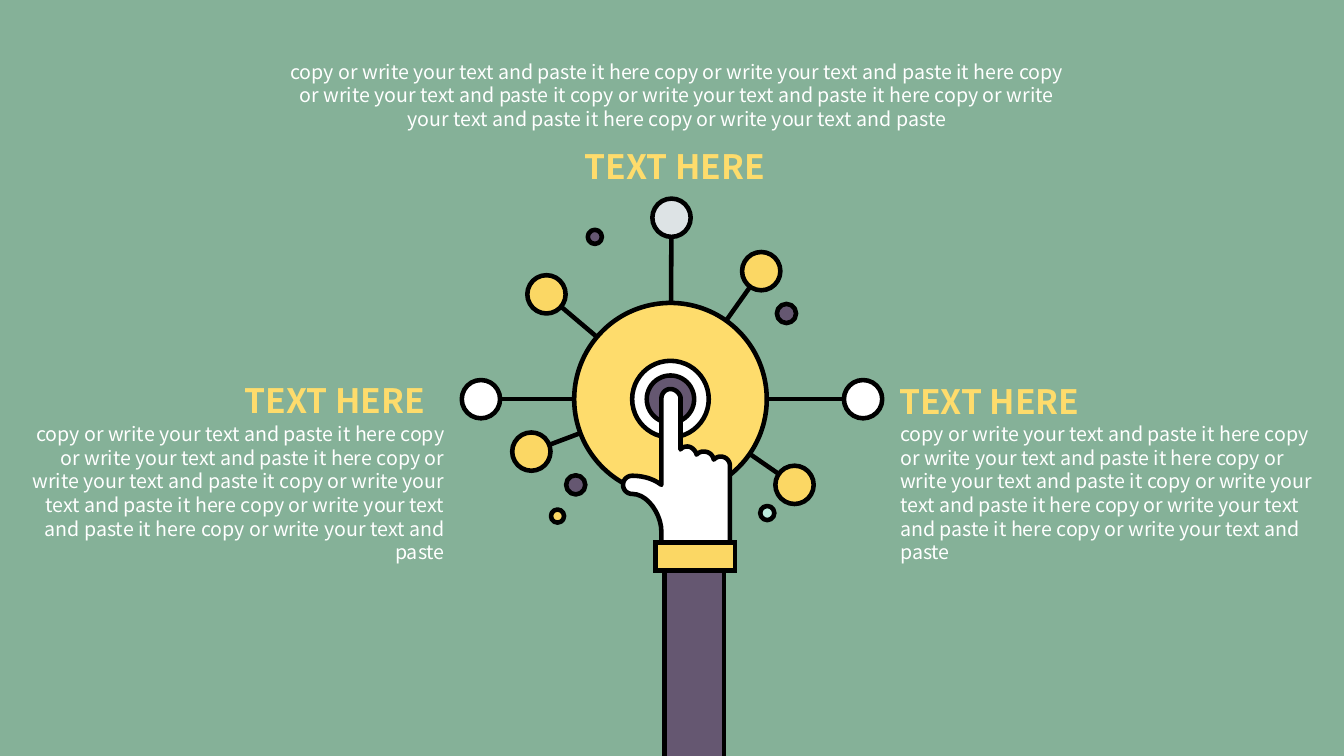
import dataclasses

import pptx
import pptx.dml.color
import pptx.enum.shapes
import pptx.enum.text
import pptx.oxml
import pptx.oxml.ns
import pptx.util

Inches = pptx.util.Inches
Pt = pptx.util.Pt
Align = pptx.enum.text.PP_ALIGN
Preset = pptx.enum.shapes.MSO_SHAPE


@dataclasses.dataclass(frozen=True)
class Theme:
    """Colours, font, type sizes and line widths of the slide."""
    sage: str = "85B198"
    plum: str = "655771"
    lemon: str = "FEDC6C"
    amber: str = "FBD764"
    mint: str = "BCEBDD"
    silver: str = "DDE3E5"
    white: str = "FFFFFF"
    black: str = "000000"
    font: str = "Noto Sans CJK SC"
    heading: float = 24
    body: float = 14
    outline: float = 3.25
    sleeve_outline: float = 3


THEME = Theme()
HUB = (6.65, 3.96)
NODE_SIZE = 0.38
NODES = [
    (4.77, 3.96, THEME.white), (5.42, 2.92, THEME.amber),
    (7.55, 2.69, THEME.amber), (6.66, 2.16, THEME.silver),
    (8.56, 3.96, THEME.white), (7.88, 4.81, THEME.amber),
    (5.27, 4.48, THEME.amber),
]
RINGS = [(1.91, THEME.lemon), (0.76, THEME.white), (0.47, THEME.plum)]
DOTS = [
    (7.8, 3.11, 0.19, THEME.plum), (5.71, 4.81, 0.19, THEME.plum),
    (5.9, 2.35, 0.14, THEME.plum), (7.61, 5.09, 0.14, THEME.mint),
    (5.53, 5.12, 0.13, THEME.amber),
]
HAND_START = (7.15, 4.53)
HAND = [
    (7.12, 4.53, 7.1, 4.54, 7.08, 4.56), (7.07, 4.51, 7.03, 4.48, 6.98, 4.48),
    (6.95, 4.48, 6.93, 4.49, 6.91, 4.51), (6.9, 4.47, 6.86, 4.43, 6.82, 4.43),
    (6.79, 4.43, 6.76, 4.44, 6.75, 4.46), (6.75, 3.94),
    (6.74, 3.9, 6.7, 3.86, 6.65, 3.86), (6.6, 3.86, 6.56, 3.9, 6.56, 3.96),
    (6.56, 4.81), (6.48, 4.75, 6.38, 4.72, 6.27, 4.72),
    (6.22, 4.72, 6.18, 4.76, 6.18, 4.81), (6.18, 4.86, 6.22, 4.9, 6.27, 4.9),
    (6.43, 4.9, 6.56, 5.11, 6.56, 5.27), (6.56, 5.38), (7.24, 5.38),
    (7.24, 4.62), (7.24, 4.57, 7.2, 4.53, 7.15, 4.53),
]
PHRASE = "copy or write your text and paste it"
HALF = f"{PHRASE} here {PHRASE} here "
BODY = f"{HALF}{PHRASE} {HALF}copy or write your text and paste"
CAPTIONS = [
    ((8.82, 3.73), (8.83, 4.14, 4.41, 1.28), Align.LEFT),
    ((5.7, 1.4), (2.73, 0.54, 7.97, 0.81), Align.CENTER),
    ((2.33, 3.72), (0.1, 4.14, 4.41, 1.28), Align.RIGHT),
]


def rgb(colour):
    """Turn a hex string into a colour."""
    return pptx.dml.color.RGBColor.from_string(colour)


def paint(shape, fill, width=THEME.outline):
    """Give a shape a flat fill and a black outline."""
    shape.shadow.inherit = False
    shape.fill.solid()
    shape.fill.fore_color.rgb = rgb(fill)
    shape.line.color.rgb = rgb(THEME.black)
    shape.line.width = Pt(width)


def add_circle(slide, x, y, size, fill):
    """Draw a circle around a centre."""
    box = (x - size / 2, y - size / 2, size, size)
    paint(slide.shapes.add_shape(Preset.OVAL, *map(Inches, box)), fill)


def add_block(slide, box, fill, width=THEME.outline):
    """Draw a sharp-cornered rectangle."""
    block = slide.shapes.add_shape(Preset.RECTANGLE, *map(Inches, box))
    paint(block, fill, width)
    miter = pptx.oxml.parse_xml(f'<a:miter {pptx.oxml.ns.nsdecls("a")} lim="800000"/>')
    block.line._get_or_add_ln().append(miter)


def add_spoke(slide, x, y):
    """Draw a line from the hub to a node centre."""
    spoke = slide.shapes.add_connector(
        pptx.enum.shapes.MSO_CONNECTOR.STRAIGHT, *map(Inches, (*HUB, x, y)))
    spoke.line.color.rgb = rgb(THEME.black)
    spoke.line.width = Pt(THEME.outline)
    effects = pptx.oxml.parse_xml(f'<a:effectLst {pptx.oxml.ns.nsdecls("a")}/>')
    spoke._element.spPr.append(effects)


def curve_points(start, segment, steps=10):
    """Sample a cubic curve after its start point."""
    corners = [start, segment[:2], segment[2:4], segment[4:]]
    for step in range(1, steps + 1):
        t = step / steps
        weights = ((1 - t) ** 3, 3 * t * (1 - t) ** 2, 3 * t * t * (1 - t), t ** 3)
        yield tuple(sum(w * c[axis] for w, c in zip(weights, corners))
                    for axis in (0, 1))


def add_hand(slide):
    """Draw the pointing hand."""
    points = [HAND_START]
    for segment in HAND:
        points.extend([segment] if len(segment) == 2
                      else curve_points(points[-1], segment))
    outline = [(Inches(x), Inches(y)) for x, y in points]
    builder = slide.shapes.build_freeform(*outline[0])
    builder.add_line_segments(outline[1:], close=True)
    paint(builder.convert_to_shape(), THEME.white)


def add_text(slide, box, text, colour, font_format, align=Align.LEFT, wrap=True):
    """Place a paragraph in a text box."""
    frame = slide.shapes.add_textbox(*map(Inches, box)).text_frame
    frame.word_wrap = wrap
    frame.auto_size = pptx.enum.text.MSO_AUTO_SIZE.SHAPE_TO_FIT_TEXT
    paragraph = frame.paragraphs[0]
    paragraph.alignment = align
    run = paragraph.add_run()
    run.text = text
    for attribute, value in font_format.items():
        setattr(run.font, attribute, value)
    run.font.color.rgb = rgb(colour)


def add_caption(slide, heading_at, body_box, align):
    """Place a heading and its body text."""
    add_text(slide, (*heading_at, 2.06, 0.5), "TEXT HERE", THEME.lemon,
             {"name": THEME.font, "size": Pt(THEME.heading), "bold": True},
             wrap=False)
    add_text(slide, body_box, BODY, THEME.white,
             {"name": THEME.font, "size": Pt(THEME.body)}, align)


def main():
    """Build and save the slide."""
    deck = pptx.Presentation()
    deck.slide_width, deck.slide_height = Inches(13.33), Inches(7.5)
    slide = deck.slides.add_slide(deck.slide_layouts[6])
    slide.background.fill.solid()
    slide.background.fill.fore_color.rgb = rgb(THEME.sage)

    add_block(slide, (6.59, 5.52, 0.59, 2.18), THEME.plum, THEME.sleeve_outline)
    for x, y, _ in NODES:
        add_spoke(slide, x, y)
    for size, fill in RINGS:
        add_circle(slide, *HUB, size, fill)
    add_hand(slide)
    for x, y, fill in NODES:
        add_circle(slide, x, y, NODE_SIZE, fill)
    add_block(slide, (6.5, 5.38, 0.79, 0.28), THEME.amber)
    for dot in DOTS:
        add_circle(slide, *dot)
    for caption in CAPTIONS:
        add_caption(slide, *caption)
    deck.save("out.pptx")


if __name__ == "__main__":
    main()
